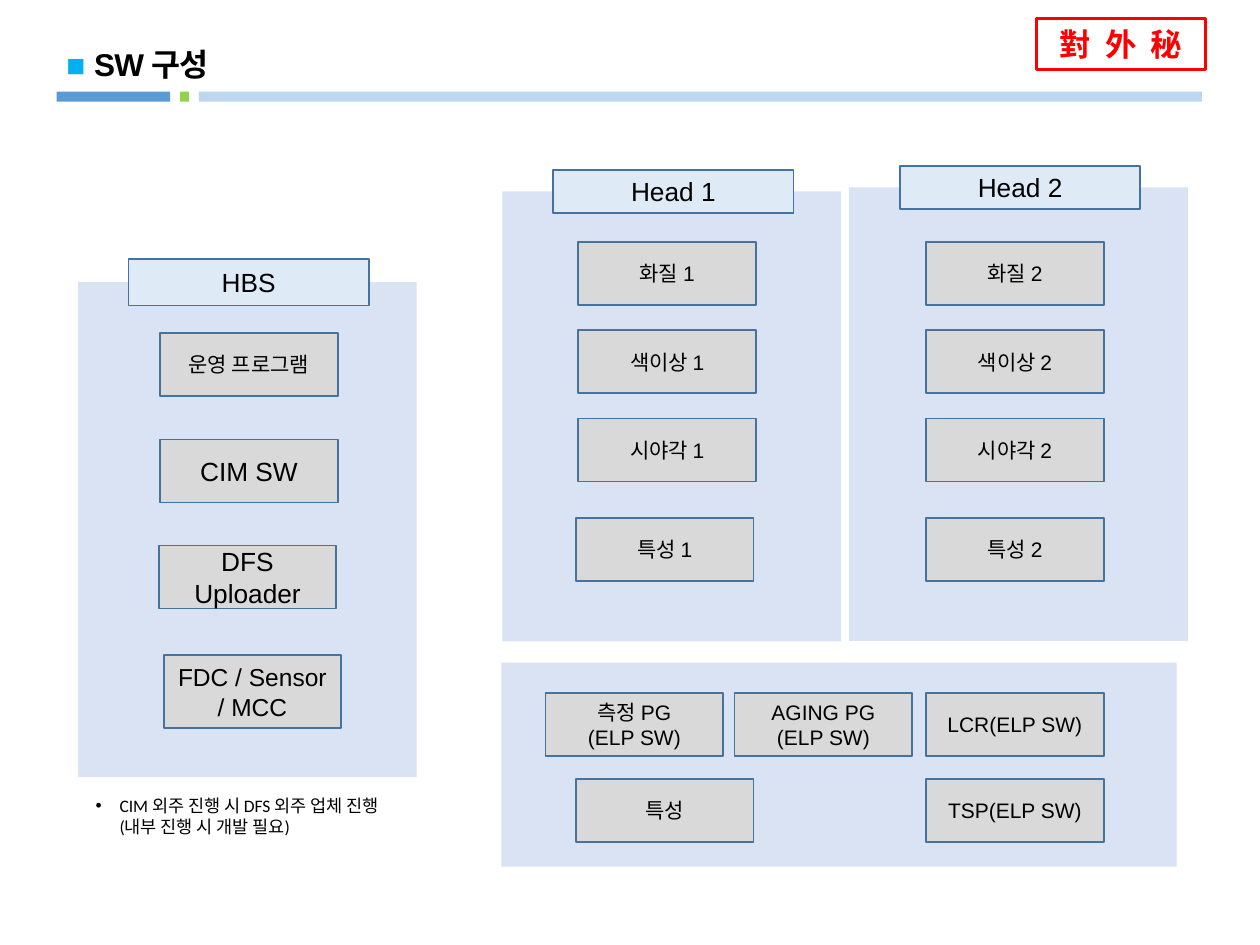
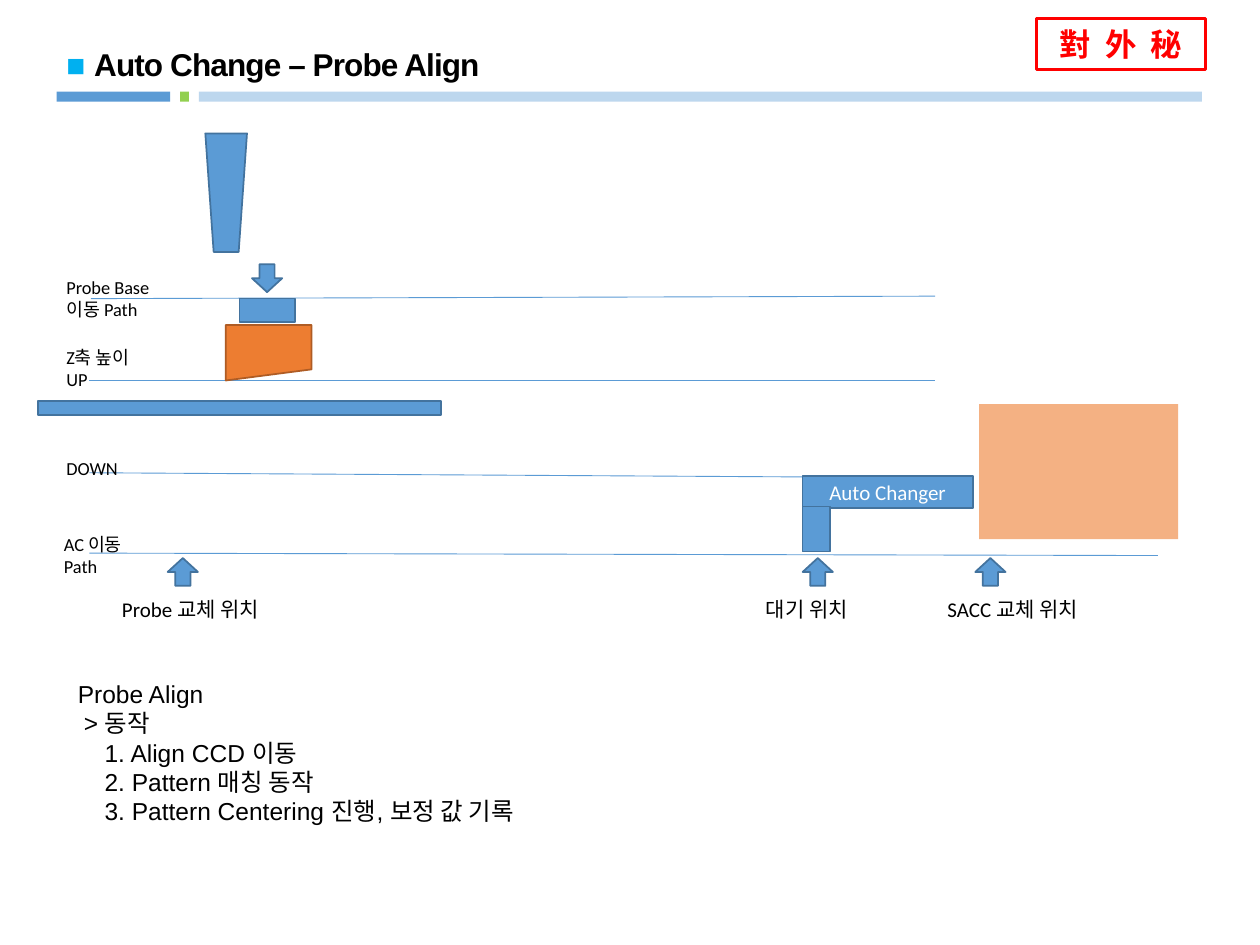
from dataclasses import dataclass
from lxml.etree import SubElement as Sub
from pptx import Presentation as Deck
from pptx.dml.color import RGBColor as Rgb
from pptx.enum.shapes import MSO_CONNECTOR as Link, MSO_SHAPE as Kind
from pptx.enum.text import MSO_ANCHOR as Anchor, PP_ALIGN as Align
from pptx.oxml.ns import qn
from pptx.util import Cm, Pt


@dataclass(frozen=True)
class Theme:
    black: str = "000000"
    white: str = "FFFFFF"
    red: str = "FF0000"
    cyan: str = "00B0F0"
    blue: str = "5B9BD5"
    edge: str = "43739E"
    pale: str = "BDD7EE"
    green: str = "92D050"
    panel: str = "DAE3F3"
    header: str = "DEEBF7"
    gray: str = "D9D9D9"
    peach: str = "F4B183"
    orange: str = "ED7D31"
    rust: str = "AF5C24"
    sans: str = "Arial"
    body: str = "Calibri"
    hanja: str = "Noto Sans CJK KR"
    title: float = 18
    head: float = 15
    step: float = 14
    item: float = 12
    label: float = 10.5
    note: float = 10


T = Theme()


def add_run(para, text, size, font=T.sans, color=T.black, bold=False, gap=0):
    run = para.add_run()
    run.text = text
    run.font.size = Pt(size)
    run.font.name = font
    run.font.bold = bold
    run.font.color.rgb = Rgb.from_string(color)
    props = run.font._element
    if gap:
        props.set("spc", str(gap))
    if font == T.hanja:
        Sub(props, qn("a:ea"), typeface=font)


def set_lines(frame, lines, size, font=T.sans, color=T.black, align=Align.LEFT):
    for num, line in enumerate(lines):
        para = frame.add_paragraph() if num else frame.paragraphs[0]
        para.alignment = align
        add_run(para, line, size, font, color)
    return frame.paragraphs


def indent(para, left, bullet=False):
    props = para._p.get_or_add_pPr()
    props.set("marL", str(Cm(left)))
    if bullet:
        props.set("indent", str(-Cm(left)))
        Sub(props, qn("a:buFont"), typeface=T.sans)
        Sub(props, qn("a:buChar"), char="•")


def add_box(slide, place, fill=None, edge=None, kind=Kind.RECTANGLE, width=1, turn=0):
    box = slide.shapes.add_shape(kind, *map(Cm, place))
    box.shadow.inherit = False
    box.rotation = turn
    if fill:
        box.fill.solid()
        box.fill.fore_color.rgb = Rgb.from_string(fill)
    else:
        box.fill.background()
    if edge:
        box.line.color.rgb = Rgb.from_string(edge)
        box.line.width = Pt(width)
    else:
        box.line.fill.background()
    box.text_frame.word_wrap = True
    box.text_frame.vertical_anchor = Anchor.MIDDLE
    return box


def add_text(slide, place, lines, size, font=T.body, wrap=True):
    frame = slide.shapes.add_textbox(*map(Cm, place)).text_frame
    frame.word_wrap = wrap
    return set_lines(frame, lines, size, font)


def add_line(slide, *ends):
    line = slide.shapes.add_connector(Link.STRAIGHT, *map(Cm, ends))
    line.line.color.rgb = Rgb.from_string(T.blue)
    line.line.width = Pt(0.5)
    Sub(line._element.spPr, qn("a:effectLst"))


def add_card(slide, x, y, lines, size=T.item, tall=1.27):
    box = add_box(slide, (x, y, 3.58, tall), T.gray, T.edge)
    set_lines(box.text_frame, lines, size, align=Align.CENTER)


def add_panel(slide, x, y, tall, name, high=0.86):
    add_box(slide, (x, y, 6.83, tall), T.panel)
    box = add_box(slide, (x + 1.02, y - high / 2, 4.85, high), T.header, T.edge)
    set_lines(box.text_frame, [name], T.head, align=Align.CENTER)


def add_arrow(slide, x, y, turn=180):
    add_box(slide, (x, y, 0.61, 0.56), T.blue, T.edge, Kind.DOWN_ARROW, turn=turn)


def add_frame(deck, title):
    slide = deck.slides.add_slide(deck.slide_layouts[6])
    for x, wide, fill in ((4.01, 20.22, T.pale), (1.14, 2.29, T.blue), (3.63, 0.18, T.green)):
        add_box(slide, (x, 1.85, wide, 0.2), fill)
    stamp = add_box(slide, (20.9, 0.38, 3.4, 1.02), edge=T.red, width=1.5)
    para = stamp.text_frame.paragraphs[0]
    para.alignment = Align.CENTER
    for sign in "對 外 秘":
        add_run(para, sign, T.title, T.hanja, T.red, True, 400 if sign == " " else 0)
    para = add_text(slide, (1.09, 0.71, 18.21, 1.09), [], T.title)[0]
    para.line_spacing = 1.1
    add_run(para, "■ ", T.title, color=T.cyan, bold=True)
    add_run(para, title, T.title, bold=True, gap=-50)
    return slide


def build_parts(deck):
    slide = add_frame(deck, "SW 구성")
    add_panel(slide, 1.57, 5.69, 9.98, "HBS", 0.94)
    add_panel(slide, 10.13, 3.86, 9.07, "Head 1")
    add_panel(slide, 17.12, 3.78, 9.14, "Head 2")
    add_box(slide, (10.11, 13.36, 13.61, 4.11), T.panel)

    for num, x, last in ((1, 11.66, 11.61), (2, 18.67, 18.67)):
        for row, name in enumerate(("화질", "색이상", "시야각")):
            add_card(slide, x, 4.88 + 1.78 * row, [f"{name} {num}"])
        add_card(slide, last, 10.44, [f"특성 {num}"])

    add_card(slide, 3.23, 6.71, ["운영 프로그램"])
    add_card(slide, 3.23, 8.86, ["CIM SW"], T.head)
    add_card(slide, 3.2, 11, ["DFS Uploader"], T.head)
    add_card(slide, 3.3, 13.21, ["FDC / Sensor / MCC"], T.step, 1.47)

    add_card(slide, 11, 13.97, ["측정 PG", "(ELP SW)"])
    add_card(slide, 14.81, 13.97, ["AGING PG", "(ELP SW)"])
    add_card(slide, 18.67, 13.97, ["LCR(ELP SW)"])
    add_card(slide, 11.61, 15.7, ["특성"])
    add_card(slide, 18.67, 15.7, ["TSP(ELP SW)"])

    notes = add_text(slide, (1.68, 15.9, 6.6, 1.12),
                     ["CIM 외주 진행 시 DFS 외주 업체 진행", "(내부 진행 시 개발 필요)"],
                     T.note, wrap=False)
    indent(notes[0], 0.48, True)
    indent(notes[1], 0.48)


def build_align(deck):
    slide = add_frame(deck, "Auto Change – Probe Align")
    add_box(slide, (19.74, 8.15, 4.01, 2.72), T.peach)
    add_line(slide, 1.83, 6.02, 18.85, 5.97)
    add_line(slide, 1.8, 7.67, 18.85, 7.67)
    add_line(slide, 1.8, 9.53, 18.85, 9.63)
    add_line(slide, 1.8, 11.15, 23.34, 11.2)

    add_text(slide, (1.09, 5.44, 2.36, 1.14), ["Probe Base 이동 Path"], T.label)
    axis = add_text(slide, (1.09, 6.86, 2.11, 2.95), ["Z축 높이", "UP", "DOWN"], T.label)
    axis[2].space_before = Pt(38)
    add_text(slide, (1.04, 10.62, 2.36, 1.14), ["AC 이동 Path"], T.label)

    add_box(slide, (4.14, 2.69, 0.84, 2.39), T.blue, T.edge, Kind.FLOWCHART_MANUAL_OPERATION)
    add_box(slide, (4.83, 6.02, 1.12, 0.48), T.blue, T.edge)
    add_box(slide, (4.55, 6.55, 1.73, 1.12), T.orange, T.rust,
            Kind.FLOWCHART_MANUAL_INPUT, turn=180)
    add_box(slide, (0.76, 8.08, 8.13, 0.28), T.blue, T.edge, Kind.FLOWCHART_PROCESS)
    arm = add_box(slide, (16.18, 9.6, 3.43, 0.64), T.blue, T.edge)
    set_lines(arm.text_frame, ["Auto Changer"], T.item, T.body, T.white, Align.CENTER)
    add_box(slide, (16.18, 10.21, 0.56, 0.91), T.blue, T.edge)

    add_arrow(slide, 5.08, 5.33, 0)
    for spot, x, wide, name in ((3.38, 2.21, 3.53, "Probe 교체 위치"),
                                (16.18, 15.19, 2.57, "대기 위치"),
                                (19.66, 18.85, 3.38, "SACC 교체 위치")):
        add_arrow(slide, spot, 11.25)
        add_text(slide, (x, 11.91, wide, 0.76), [name], T.item)

    steps = add_text(slide, (1.32, 13.56, 22.89, 3.25),
                     ["Probe Align", "> 동작", "1. Align CCD 이동",
                      "2. Pattern 매칭 동작", "3. Pattern Centering 진행, 보정 값 기록"],
                     T.step, T.sans)
    indent(steps[1], 0.12)
    for para in steps[2:]:
        indent(para, 0.54)


def main():
    deck = Deck()
    deck.slide_width, deck.slide_height = Cm(25.4), Cm(19.05)
    build_parts(deck)
    build_align(deck)
    deck.save("out.pptx")


if __name__ == "__main__":
    main()
